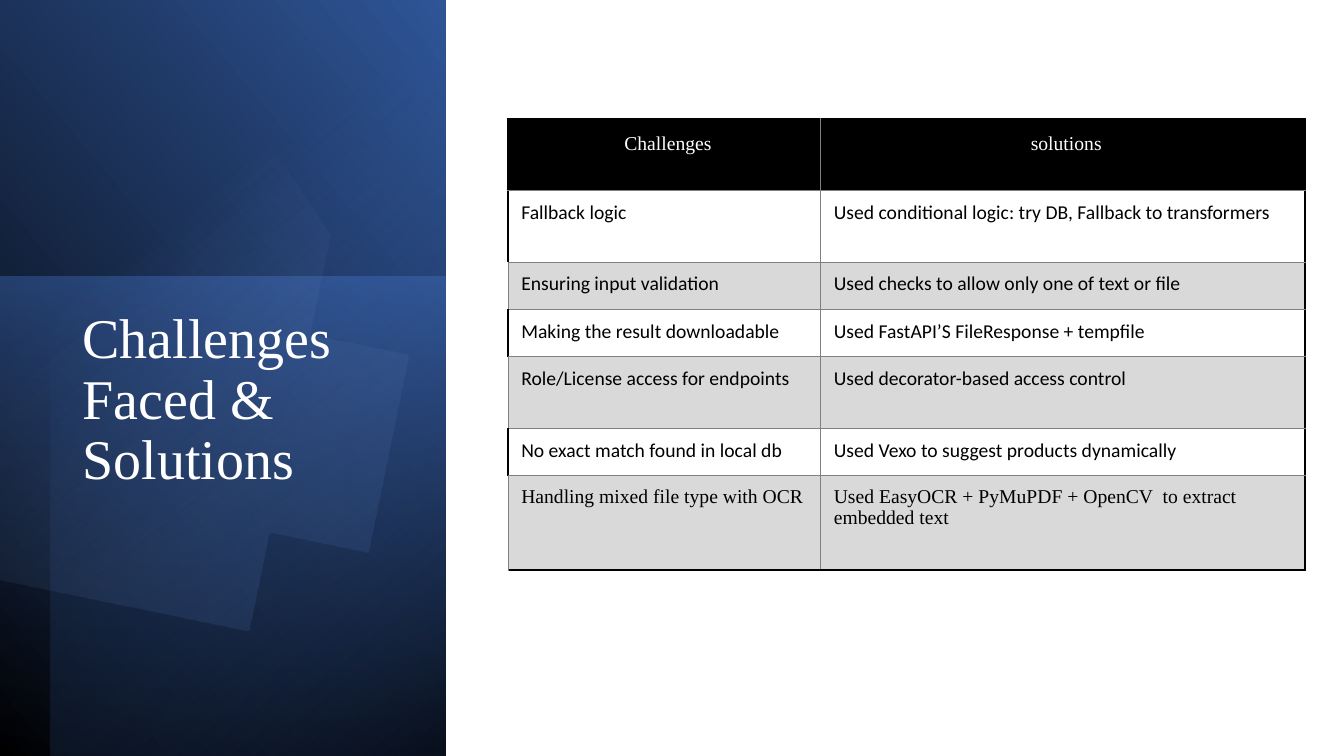
from dataclasses import dataclass
from math import cos, radians, sin

from lxml.etree import SubElement
from pptx import Presentation
from pptx.dml.color import RGBColor
from pptx.enum.shapes import MSO_SHAPE
from pptx.enum.text import MSO_ANCHOR, MSO_AUTO_SIZE, PP_ALIGN
from pptx.oxml.ns import qn
from pptx.util import Inches, Pt


@dataclass(frozen=True)
class Theme:
    black: str = "000000"
    white: str = "FFFFFF"
    blue: str = "4472C4"
    deep_blue: str = "2F5597"
    navy: str = "203864"
    pale_blue: str = "8FAADC"
    band: str = "D9D9D9"
    grid: str = "808080"
    serif: str = "Times New Roman"
    sans: str = "Calibri"
    title_size: int = 40
    table_size: int = 14
    thin: float = 0.5
    thick: float = 1.5


THEME = Theme()
HEADER = ("Challenges", "solutions")
ROWS = [
    ("Fallback logic", "Used conditional logic: try DB, Fallback to transformers"),
    ("Ensuring input validation", "Used checks to allow only one of text or file"),
    ("Making the result downloadable", "Used FastAPI’S FileResponse + tempfile"),
    ("Role/License access for endpoints", "Used decorator-based access control"),
    ("No exact match found in local db", "Used Vexo to suggest products dynamically"),
    ("Handling mixed file type with OCR",
     "Used EasyOCR + PyMuPDF + OpenCV  to extract embedded text"),
]
COLUMN_WIDTHS = (3.1, 4.8)
ROW_HEIGHTS = (0.71, 0.71, 0.47, 0.47, 0.71, 0.47, 0.94)

CIRCLE_START = (1.43, 0.84)
CIRCLE_CURVES = [
    ((1.6, 0.84), (1.78, 0.86), (1.96, 0.89)),
    ((3.38, 1.19), (4.29, 2.58), (4, 4)),
    ((3.71, 5.42), (2.32, 6.34), (0.9, 6.05)),
    ((0.63, 5.99), (0.38, 5.9), (0.15, 5.77)),
    ((0.1, 5.74), (0.05, 5.71), (0, 5.68)),
    ((0, 4.2), (0, 2.7), (0, 1.26)),
    ((0.07, 1.22), (0.13, 1.19), (0.2, 1.15)),
    ((0.57, 0.95), (0.99, 0.84), (1.43, 0.84)),
]


def write_text(frame, text, *, font, size, color, align=PP_ALIGN.LEFT, spacing=1.0):
    frame.word_wrap = True
    paragraph = frame.paragraphs[0]
    paragraph.alignment = align
    paragraph.line_spacing = spacing
    run = paragraph.add_run()
    run.text = text
    run.font.name = font
    run.font.size = Pt(size)
    run.font.color.rgb = RGBColor.from_string(color)


def add_color(parent, color, alpha=100):
    element = SubElement(SubElement(parent, qn("a:solidFill"))
                         if parent.tag != qn("a:gs") else parent,
                         qn("a:srgbClr"), val=color)
    if alpha < 100:
        SubElement(element, qn("a:alpha"), val=str(alpha * 1000))


def curve_points(start, curves, steps=16):
    """Sample a chain of cubic Bezier curves."""
    points = [start]
    for first, second, end in curves:
        origin = points[-1]
        for step in range(1, steps + 1):
            t = step / steps
            weights = ((1 - t) ** 3, 3 * t * (1 - t) ** 2, 3 * t * t * (1 - t), t ** 3)
            points.append(tuple(
                sum(w * p[axis] for w, p in zip(weights, (origin, first, second, end)))
                for axis in (0, 1)))
    return points


def rotate_points(points, center, degrees):
    c, s = cos(radians(degrees)), sin(radians(degrees))
    x0, y0 = center
    return [(x0 + (x - x0) * c - (y - y0) * s, y0 + (x - x0) * s + (y - y0) * c)
            for x, y in points]


class SlideBuilder:
    def __init__(self, slide, theme):
        self.slide = slide
        self.theme = theme

    def gradient(self, shape, stops, angle):
        """Fill with (position, color, alpha) stops and no outline."""
        shape.shadow.inherit = False
        shape.line.fill.background()
        properties = shape._element.spPr
        fill = SubElement(properties, qn("a:gradFill"), rotWithShape="1")
        stop_list = SubElement(fill, qn("a:gsLst"))
        for position, color, alpha in stops:
            stop = SubElement(stop_list, qn("a:gs"), pos=str(position * 1000))
            add_color(stop, color, alpha)
        SubElement(fill, qn("a:lin"), ang=str(angle * 60000), scaled="0")
        properties.insert(2, fill)

    def panel(self, box, rotation, stops, angle, flip=False):
        shape = self.slide.shapes.add_shape(MSO_SHAPE.RECTANGLE, *map(Inches, box))
        shape.rotation = rotation
        if flip:
            shape._element.spPr.find(qn("a:xfrm")).set("flipH", "1")
        self.gradient(shape, stops, angle)

    def outline(self, points, center, rotation, stops, angle):
        """Draw slide points as a freeform whose frame is rotated about center."""
        points = rotate_points(points, center, -rotation)
        builder = self.slide.shapes.build_freeform(*points[0], scale=Inches(1))
        builder.add_line_segments(points[1:], close=True)
        shape = builder.convert_to_shape()
        shape.rotation = rotation
        self.gradient(shape, stops, angle)

    def title(self, text, box):
        title = self.slide.shapes.title
        title.left, title.top, title.width, title.height = map(Inches, box)
        title._element.getparent().append(title._element)
        frame = title.text_frame
        frame.auto_size = MSO_AUTO_SIZE.NONE
        frame.vertical_anchor = MSO_ANCHOR.TOP
        write_text(frame, text, font=self.theme.serif, size=self.theme.title_size,
                   color=self.theme.white, spacing=0.9)

    def border(self, cell, side, heavy):
        theme = self.theme
        width = theme.thick if heavy else theme.thin
        line = SubElement(cell._tc.get_or_add_tcPr(), qn(f"a:ln{side}"), w=str(Pt(width)))
        add_color(line, theme.black if heavy else theme.grid)

    def table(self, rows, left, top, widths, heights):
        theme = self.theme
        last_row, last_column = len(rows) - 1, len(widths) - 1
        table = self.slide.shapes.add_table(
            len(rows), len(widths), Inches(left), Inches(top),
            Inches(sum(widths)), Inches(sum(heights))).table
        table.first_row = table.horz_banding = False
        for column, width in zip(table.columns, widths):
            column.width = Inches(width)
        for row, height in zip(table.rows, heights):
            row.height = Inches(height)
        for r, texts in enumerate(rows):
            header = r == 0
            banded = not header and r % 2 == 0
            for c, text in enumerate(texts):
                cell = table.cell(r, c)
                cell.margin_left, cell.margin_right = Inches(0.13), Inches(0.06)
                cell.margin_top = Inches(0.1)
                cell.margin_bottom = Inches(0.32 if header else 0.1)
                cell.vertical_anchor = MSO_ANCHOR.MIDDLE if header else MSO_ANCHOR.TOP
                self.border(cell, "L", c == 0 and not banded)
                self.border(cell, "R", c == last_column)
                self.border(cell, "T", header)
                self.border(cell, "B", r == last_row)
                if header or banded:
                    cell.fill.solid()
                    cell.fill.fore_color.rgb = RGBColor.from_string(
                        theme.black if header else theme.band)
                else:
                    cell.fill.background()
                write_text(cell.text_frame, text, size=theme.table_size,
                           font=theme.serif if r in (0, last_row) else theme.sans,
                           color=theme.white if header else theme.black,
                           align=PP_ALIGN.CENTER if header else PP_ALIGN.LEFT)


def main():
    presentation = Presentation()
    presentation.slide_width, presentation.slide_height = Inches(13.33), Inches(7.5)
    slide = presentation.slides.add_slide(presentation.slide_layouts[0])
    subtitle = slide.placeholders[1]._element
    subtitle.getparent().remove(subtitle)

    builder = SlideBuilder(slide, THEME)
    builder.panel((-1.55, 1.55, 7.52, 4.42), 90,
                  [(0, THEME.black, 100), (100, THEME.deep_blue, 100)], 310, flip=True)
    builder.panel((-0.17, 2.91, 4.76, 4.42), 270,
                  [(0, THEME.blue, 50), (100, THEME.navy, 0)], 190)
    builder.panel((-1.29, 1.79, 7.5, 3.92), 270,
                  [(0, THEME.black, 59), (69, THEME.blue, 0)], 220, flip=True)
    builder.outline(curve_points(CIRCLE_START, CIRCLE_CURVES), (1.81, 3.55), 101.6,
                    [(39, THEME.pale_blue, 0), (100, THEME.deep_blue, 26)], 310)
    builder.title("Challenges Faced & Solutions", (0.72, 3.03, 3.15, 3.36))
    builder.table([HEADER, *ROWS], 5.04, 1.18, COLUMN_WIDTHS, ROW_HEIGHTS)
    presentation.save("out.pptx")


if __name__ == "__main__":
    main()
